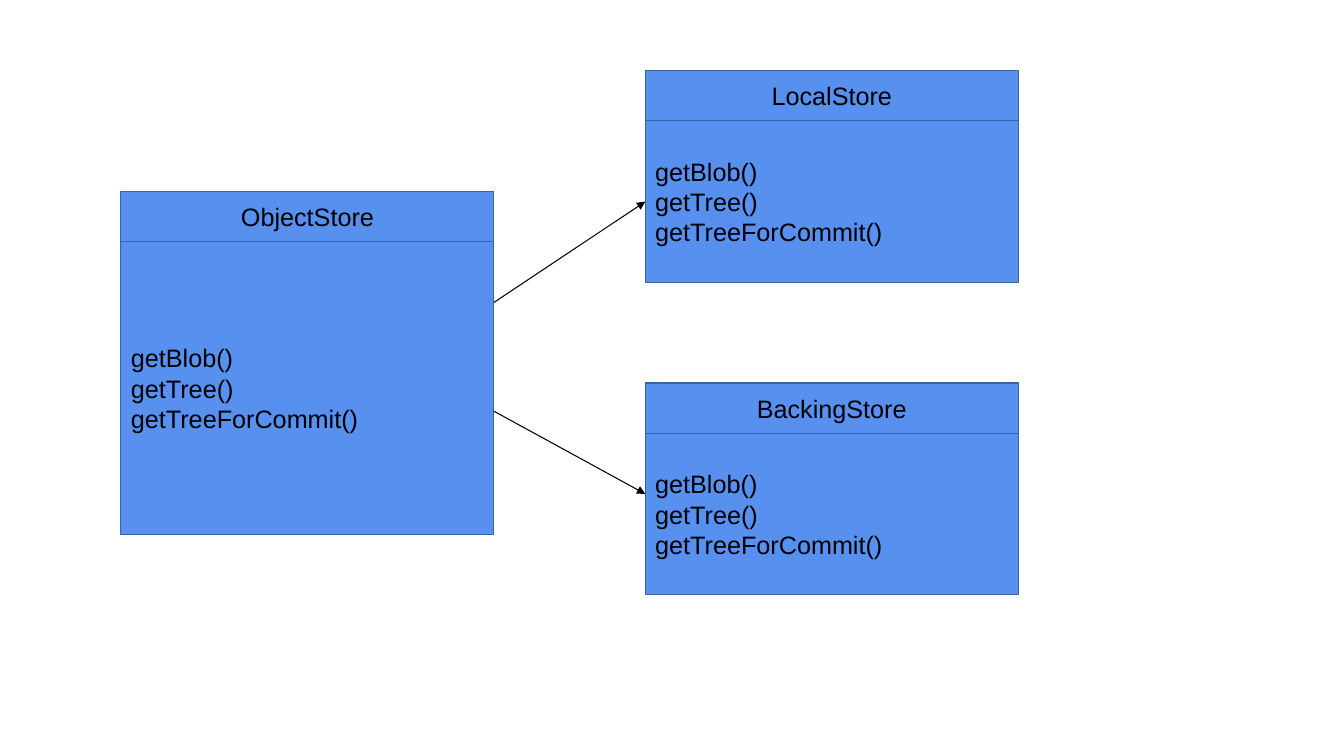
from lxml.etree import SubElement
from pptx import Presentation
from pptx.dml.color import RGBColor
from pptx.enum.shapes import MSO_CONNECTOR, MSO_SHAPE
from pptx.enum.text import MSO_ANCHOR, PP_ALIGN
from pptx.oxml.ns import qn
from pptx.util import Pt

SCALE = 9144  # EMU per px, 100 px to the inch
WIDTH, HEAD = 370, 50
METHODS = ["getBlob()", "getTree()", "getTreeForCommit()"]


def px(*sizes):
    return [size * SCALE for size in sizes]


def paint(color, code):
    color.rgb = RGBColor.from_string(code)


def add_box(slide, left, top, height, lines, align):
    box = slide.shapes.add_shape(MSO_SHAPE.RECTANGLE, *px(left, top, WIDTH, height))
    box.shadow.inherit = False
    box.fill.solid()
    paint(box.fill.fore_color, "5890F0")
    paint(box.line.color, "3465A4")
    box.line.width = Pt(0.75)
    frame = box.text_frame
    frame.word_wrap = True
    frame.vertical_anchor = MSO_ANCHOR.MIDDLE
    frame.margin_left, frame.margin_top = px(10, 5)
    frame.margin_right, frame.margin_bottom = px(10, 5)
    for i, line in enumerate(lines):
        para = frame.add_paragraph() if i else frame.paragraphs[0]
        para.alignment = align
        run = para.add_run()
        run.text = line
        run.font.name = "Arial"
        run.font.size = Pt(18)
        paint(run.font.color, "000000")
    return box


def add_class(slide, name, left, top, height):
    """Draw a class as a method box under a name box; return the method box."""
    body = add_box(slide, left, top + HEAD, height, METHODS, PP_ALIGN.LEFT)
    add_box(slide, left, top, HEAD, [name], PP_ALIGN.CENTER)
    return body


def add_arrow(slide, x1, y1, x2, y2):
    arrow = slide.shapes.add_connector(MSO_CONNECTOR.STRAIGHT, *px(x1, y1, x2, y2))
    paint(arrow.line.color, "000000")
    arrow.line.width = Pt(0.75)
    SubElement(arrow.line._get_or_add_ln(), qn("a:tailEnd"), type="triangle")
    SubElement(arrow._element.spPr, qn("a:effectLst"))
    return arrow


def main():
    deck = Presentation()
    deck.slide_width, deck.slide_height = px(1333, 750)
    slide = deck.slides.add_slide(deck.slide_layouts[6])

    add_class(slide, "ObjectStore", 120, 190, 290)
    local = add_class(slide, "LocalStore", 640, 70, 160)
    add_class(slide, "BackingStore", 640, 380, 160)

    add_arrow(slide, 490, 300, 640, 200).end_connect(local, 1)
    add_arrow(slide, 490, 408, 640, 490)
    deck.save("out.pptx")


if __name__ == "__main__":
    main()
